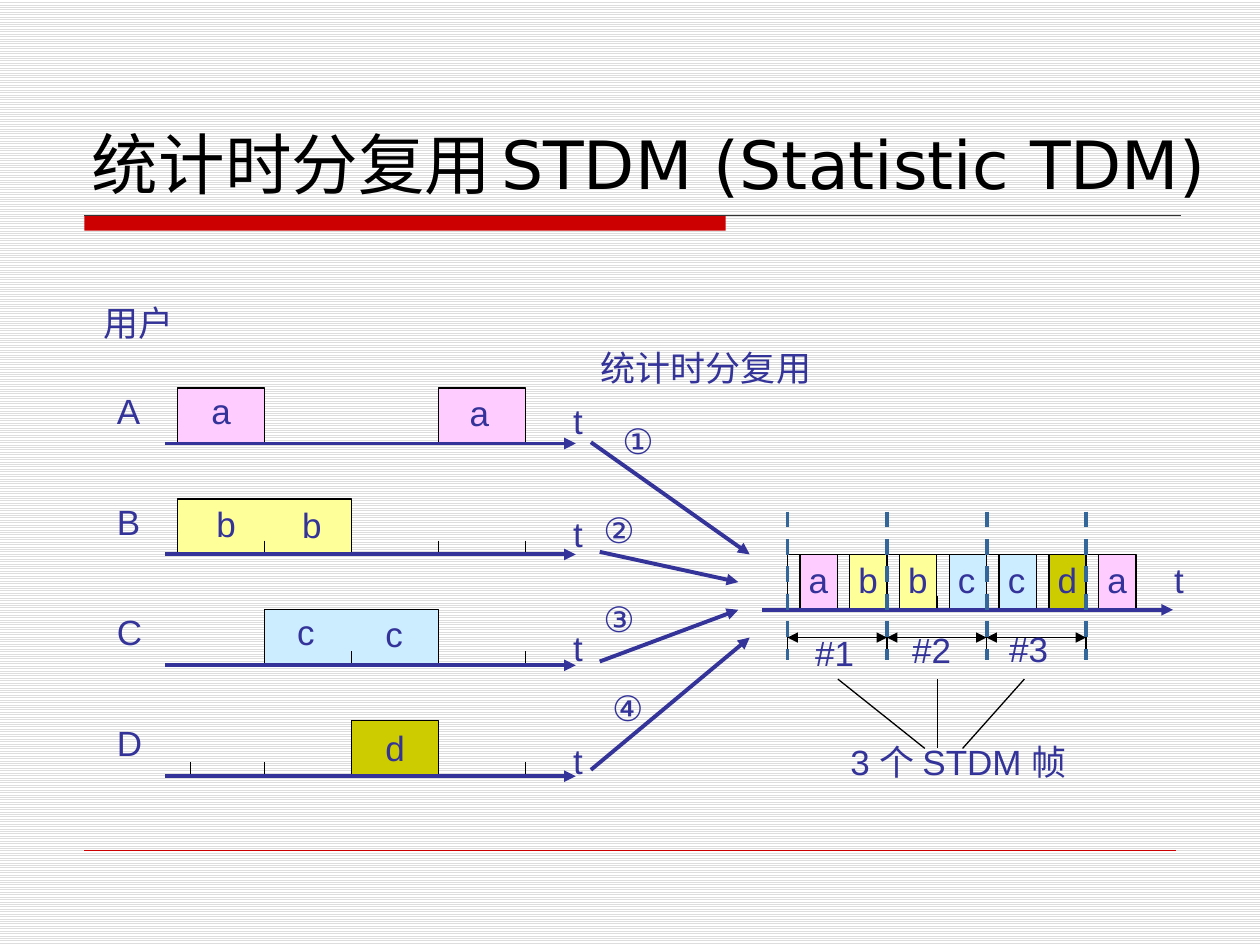
import pptx
import pptx.util
import pptx.dml.color
import pptx.enum.dml
import pptx.enum.shapes
import pptx.enum.text
import pptx.oxml

INK = {"blue": "333399", "black": "000000", "red": "CC0000", "steel": "336699",
       "rule": "333333", "stripe": "DDDDDD", "white": "FFFFFF"}
USER = {"a": "FFCCFF", "b": "FFFF99", "c": "CCECFF", "d": "CCCC00"}

TITLE = [("统计时分复用", 38), (" ", 25), ("STDM (Statistic TDM)", 38)]

# name, letter, first slot, slots filled per box, ticks (in slots)
ROWS = [
    ("A", "a", [(0, 1), (3, 1)], []),
    ("B", "b", [(0, 2)], [1, 3, 4]),
    ("C", "c", [(1, 2)], [2, 4]),
    ("D", "d", [(2, 1)], [0.15, 1, 4]),
]
SENT = "abbccda"

# text, left, top, width
NOTES = [
    ("用户", 0.72, 2.34, 0.76), ("统计时分复用", 4.67, 2.7, 1.87),
    ("a", 1.58, 3.04, 0.36), ("a", 3.63, 3.06, 0.36),
    ("b", 1.62, 3.94, 0.36), ("b", 2.3, 3.95, 0.36),
    ("c", 2.26, 4.8, 0.34), ("c", 2.96, 4.81, 0.34), ("d", 2.96, 5.72, 0.36),
    ("①", 4.84, 3.28, 0.48), ("②", 4.69, 3.99, 0.48),
    ("③", 4.69, 4.69, 0.48), ("④", 4.76, 5.4, 0.48),
    ("#1", 6.37, 4.96, 0.51), ("#2", 7.14, 4.94, 0.51), ("#3", 7.91, 4.93, 0.51),
    ("t", 9.22, 4.38, 0.28),
]
FRAMES = ("3 个 STDM 帧", 6.65, 5.83, 1.93)
INPUTS = [(4.69, 3.51, 5.95, 4.4), (4.76, 4.38, 5.86, 4.62),
          (4.76, 5.25, 5.86, 4.84), (4.69, 6.11, 5.95, 5.06)]
LEADS = [(6.65, 5.39, 7.34, 5.94), (7.44, 5.39, 7.44, 5.94), (8.13, 5.39, 7.64, 5.94)]

LEFT, SLOT, BASE, PITCH, HIGH = 1.41, 0.69, 3.52, 0.88, 0.44
MUX, STEP, GAP, FLOOR = 6.25, 0.395, 0.1, 4.84
TICK = 0.11

inch = pptx.util.Inches
pt = pptx.util.Pt


def tint(name):
    return pptx.dml.color.RGBColor.from_string(INK.get(name) or USER[name])


def line(slide, ends, ink="black", width=0.75, heads=(), dash=False):
    item = slide.shapes.add_connector(
        pptx.enum.shapes.MSO_CONNECTOR.STRAIGHT, *[inch(v) for v in ends])
    item.line.color.rgb = tint(ink)
    item.line.width = pt(width)
    if dash:
        item.line.dash_style = pptx.enum.dml.MSO_LINE.DASH
    space = 'xmlns:a="http://schemas.openxmlformats.org/drawingml/2006/main"'
    pen = item.line._get_or_add_ln()
    for head in heads:
        pen.append(pptx.oxml.parse_xml(f'<a:{head} {space} type="triangle"/>'))
    item._element.spPr.append(pptx.oxml.parse_xml(f"<a:effectLst {space}/>"))


def pulse(slide, left, base, width, fill=None):
    """Draw a box with an open bottom edge, standing on a time axis."""
    low, top = inch(base), inch(base - HIGH)
    near, far = inch(left), inch(left + width)
    pen = slide.shapes.build_freeform(near, low, scale=1.0)
    pen.add_line_segments([(near, top), (far, top), (far, low)], close=False)
    item = pen.convert_to_shape()
    item.shadow.inherit = False
    if fill:
        item.fill.solid()
        item.fill.fore_color.rgb = tint(fill)
    else:
        item.fill.background()
    item.line.color.rgb = tint("black")
    item.line.width = pt(0.75)


def label(slide, text, left, top, width, wrap=False):
    box = slide.shapes.add_textbox(inch(left), inch(top), inch(width), inch(0.43))
    frame = box.text_frame
    frame.text = text
    frame.word_wrap = wrap
    frame.auto_size = pptx.enum.text.MSO_AUTO_SIZE.SHAPE_TO_FIT_TEXT
    font = frame.paragraphs[0].runs[0].font
    font.name, font.size = "Arial", pt(20)
    font.color.rgb = tint("blue")


def tick(slide, x, base):
    line(slide, (x, base - TICK, x, base))


def head(slide):
    fill = slide.background.fill
    fill.patterned()
    fill.pattern = pptx.enum.dml.MSO_PATTERN.LIGHT_HORIZONTAL
    fill.fore_color.rgb = tint("stripe")
    fill.back_color.rgb = tint("white")

    bar = slide.shapes.add_shape(pptx.enum.shapes.MSO_SHAPE.RECTANGLE,
                                 inch(0.67), inch(1.71), inch(5.09), inch(0.12))
    bar.shadow.inherit = False
    bar.fill.solid()
    bar.fill.fore_color.rgb = tint("red")
    bar.line.fill.background()
    line(slide, (0.67, 1.71, 9.37, 1.71), "rule")
    line(slide, (0.67, 6.75, 9.33, 6.75), "red", 0.25)

    title = slide.shapes.title
    title.left, title.top = inch(0.63), inch(0.33)
    title.width, title.height = inch(9.37), inch(1.33)
    frame = title.text_frame
    frame.auto_size = pptx.enum.text.MSO_AUTO_SIZE.NONE
    frame.vertical_anchor = pptx.enum.text.MSO_ANCHOR.BOTTOM
    para = frame.paragraphs[0]
    para.alignment = pptx.enum.text.PP_ALIGN.LEFT
    for text, size in TITLE:
        run = para.add_run()
        run.text = text
        run.font.name, run.font.size = "DejaVu Sans", pt(size)
        run.font.color.rgb = tint("black")


def users(slide):
    for row, (name, kind, boxes, ticks) in enumerate(ROWS):
        base = BASE + row * PITCH
        for first, count in boxes:
            pulse(slide, LEFT + first * SLOT, base, count * SLOT, kind)
        for spot in ticks:
            tick(slide, LEFT + spot * SLOT, base)
        line(slide, (1.31, base, 4.57, base), "blue", 2.25, ["tailEnd"])
        label(slide, name, 0.83, base - 0.48, 0.4)
        label(slide, "t", 4.45, 3.12 + row * 0.9, 0.28)


def output(slide):
    for spot, kind in enumerate(SENT):
        left = MUX + spot * STEP
        pulse(slide, left + GAP, FLOOR, STEP - GAP, kind)
        pulse(slide, left, FLOOR, GAP)
        label(slide, kind, left + 0.07, 4.38, 0.34 if kind == "c" else 0.36)
    for x in (7.14, 7.44, 8.62):
        tick(slide, x, FLOOR)
    line(slide, (6.05, FLOOR, 9.31, FLOOR), "blue", 2.25, ["tailEnd"])
    for edge in range(4):
        x = MUX + edge * 2 * STEP
        line(slide, (x, 4.95, x, 5.17))
        if edge < 3:
            line(slide, (x, 5.06, x + 2 * STEP, 5.06), heads=["headEnd", "tailEnd"])
        line(slide, (x, 4.06, x, 5.24), "steel", 2.25, dash=True)


def main():
    deck = pptx.Presentation()
    deck.slide_width, deck.slide_height = inch(10), inch(7.5)
    slide = deck.slides.add_slide(deck.slide_layouts[5])
    head(slide)
    users(slide)
    output(slide)
    for ends in INPUTS:
        line(slide, ends, "blue", 2.25, ["tailEnd"])
    for ends in LEADS:
        line(slide, ends)
    for note in NOTES:
        label(slide, *note)
    label(slide, *FRAMES, wrap=True)
    deck.save("out.pptx")


if __name__ == "__main__":
    main()
